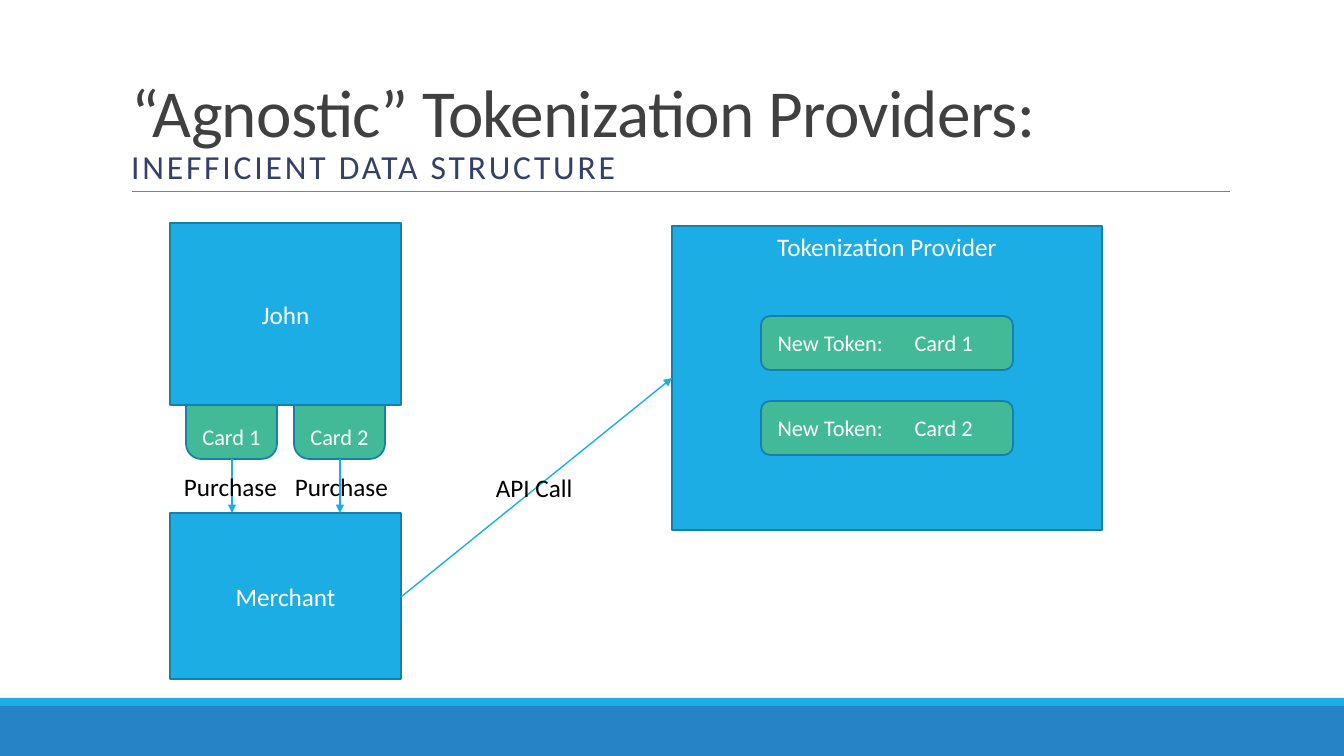
"""Build the slide on the data structure of agnostic tokenization providers."""
from typing import NamedTuple, Optional

from pptx import Presentation
from pptx import util as u
from pptx.dml import color
from pptx.enum import shapes, text
from pptx.oxml import ns, xmlchemy

SCALE = 914400 / 100.8
FONT = "Calibri"
BLUE, DEEP_BLUE, EDGE, GREEN = "1CADE4", "2683C6", "1580A9", "42BA97"
WHITE, BLACK, GREY, CHARCOAL, NAVY = "FFFFFF", "000000", "808080", "404040", "344068"
RECT = shapes.MSO_SHAPE.RECTANGLE
ROUNDED = shapes.MSO_SHAPE.ROUNDED_RECTANGLE
TOP, MIDDLE, BOTTOM = text.MSO_ANCHOR.TOP, text.MSO_ANCHOR.MIDDLE, text.MSO_ANCHOR.BOTTOM
LEFT, CENTER = text.PP_ALIGN.LEFT, text.PP_ALIGN.CENTER


class Box(NamedTuple):
    left: int
    top: int
    width: int
    height: int
    fill: str
    lines: tuple[str, ...] = ()
    preset: shapes.MSO_SHAPE = RECT
    size: int = 18
    anchor: text.MSO_ANCHOR = MIDDLE
    edge: Optional[str] = EDGE
    columns: int = 1


class Line(NamedTuple):
    start: tuple[int, int]
    end: tuple[int, int]
    hue: str = BLUE
    weight: float = 1
    arrow: bool = True


class Label(NamedTuple):
    left: int
    top: int
    width: int
    wording: str


def px(*lengths: int) -> list[u.Emu]:
    """Turn pixels into EMU."""
    return [u.Emu(round(length * SCALE)) for length in lengths]


def rgb(value: str) -> color.RGBColor:
    """Turn a hex string into a colour."""
    return color.RGBColor.from_string(value)


def write(paragraph, wording: str, *, size: int, hue: str, align=LEFT, spacing: float = 0) -> None:
    """Add one formatted run to a paragraph."""
    paragraph.alignment = align
    run = paragraph.add_run()
    run.text = wording
    run.font.name, run.font.size = FONT, u.Pt(size)
    run.font.color.rgb = rgb(hue)
    if spacing:
        run.font._element.set("spc", str(round(spacing * 100)))


def draw_box(slide, box: Box) -> None:
    """Draw a filled shape with its centred lines."""
    shape = slide.shapes.add_shape(box.preset, *px(box.left, box.top, box.width, box.height))
    shape.shadow.inherit = False
    shape.fill.solid()
    shape.fill.fore_color.rgb = rgb(box.fill)
    if box.edge:
        shape.line.color.rgb = rgb(box.edge)
        shape.line.width = u.Pt(1.25)
    else:
        shape.line.fill.background()
    frame = shape.text_frame
    frame.word_wrap, frame.vertical_anchor = True, box.anchor
    if box.columns > 1:
        frame._txBody.bodyPr.set("numCol", str(box.columns))
    for index, wording in enumerate(box.lines):
        paragraph = frame.add_paragraph() if index else frame.paragraphs[0]
        write(paragraph, wording, size=box.size, hue=WHITE, align=CENTER)


def draw_line(slide, line: Line) -> None:
    """Draw a straight line, with an arrowhead at its end if asked."""
    connector = slide.shapes.add_connector(
        shapes.MSO_CONNECTOR.STRAIGHT, *px(*line.start, *line.end))
    connector.line.color.rgb = rgb(line.hue)
    connector.line.width = u.Pt(line.weight)
    if line.arrow:
        head = xmlchemy.OxmlElement("a:tailEnd")
        head.set("type", "triangle")
        connector.line._get_or_add_ln().append(head)
    properties = connector._element.find(ns.qn("p:spPr"))
    properties.append(xmlchemy.OxmlElement("a:effectLst"))


def draw_label(slide, label: Label) -> None:
    """Draw a caption beside an arrow."""
    frame = slide.shapes.add_textbox(*px(label.left, label.top, label.width, 40)).text_frame
    frame.word_wrap = True
    write(frame.paragraphs[0], label.wording, size=18, hue=BLACK)


def fill_title(title) -> None:
    """Place and write the two-line title."""
    title.left, title.top, title.width, title.height = px(121, 31, 1109, 160)
    frame = title.text_frame
    frame.word_wrap, frame.vertical_anchor = True, BOTTOM
    frame.auto_size = text.MSO_AUTO_SIZE.NONE
    heading = frame.paragraphs[0]
    heading.line_spacing = 0.85
    write(heading, "“Agnostic” Tokenization Providers:", size=48, hue=CHARCOAL, spacing=-0.5)
    heading.add_line_break()
    write(heading, "INEFFICIENT DATA STRUCTURE", size=24, hue=NAVY, spacing=2)


CARDS = {"Card 1": 186, "Card 2": 294}
FOOTER = [
    Box(0, 706, 1344, 50, DEEP_BLUE, edge=None),
    Box(0, 698, 1344, 8, BLUE, edge=None),
]
HELD_CARDS = [
    Box(left, 359, 91, 100, GREEN, (card,), ROUNDED, 16, BOTTOM)
    for card, left in CARDS.items()
]
PARTIES = [
    Box(170, 223, 231, 182, BLUE, ("John",)),
    Box(170, 513, 231, 166, BLUE, ("Merchant",)),
    Box(672, 226, 430, 304, BLUE, ("Tokenization Provider",), anchor=TOP),
]
TOKENS = [
    Box(761, 316 + 85 * row, 252, 54, GREEN, ("New Token:", card), ROUNDED, 16, columns=2)
    for row, card in enumerate(CARDS)
]
TITLE_RULE = Line((132, 191), (1230, 191), GREY, 0.5, arrow=False)
API_CALL = Line((401, 597), (672, 378))
PURCHASES = [Line((left + 46, 459), (left + 46, 513)) for left in CARDS.values()]
LABELS = [
    Label(486, 467, 101, "API Call"),
    Label(174, 466, 120, "Purchase"),
    Label(285, 466, 152, "Purchase"),
]


def main() -> None:
    """Build and save the deck."""
    deck = Presentation()
    deck.slide_width, deck.slide_height = px(1344, 756)
    slide = deck.slides.add_slide(deck.slide_layouts[5])
    fill_title(slide.shapes.title)
    for box in FOOTER + HELD_CARDS + PARTIES + TOKENS:
        draw_box(slide, box)
    for line in [TITLE_RULE, API_CALL, *PURCHASES]:
        draw_line(slide, line)
    for label in LABELS:
        draw_label(slide, label)
    deck.save("out.pptx")


main()
